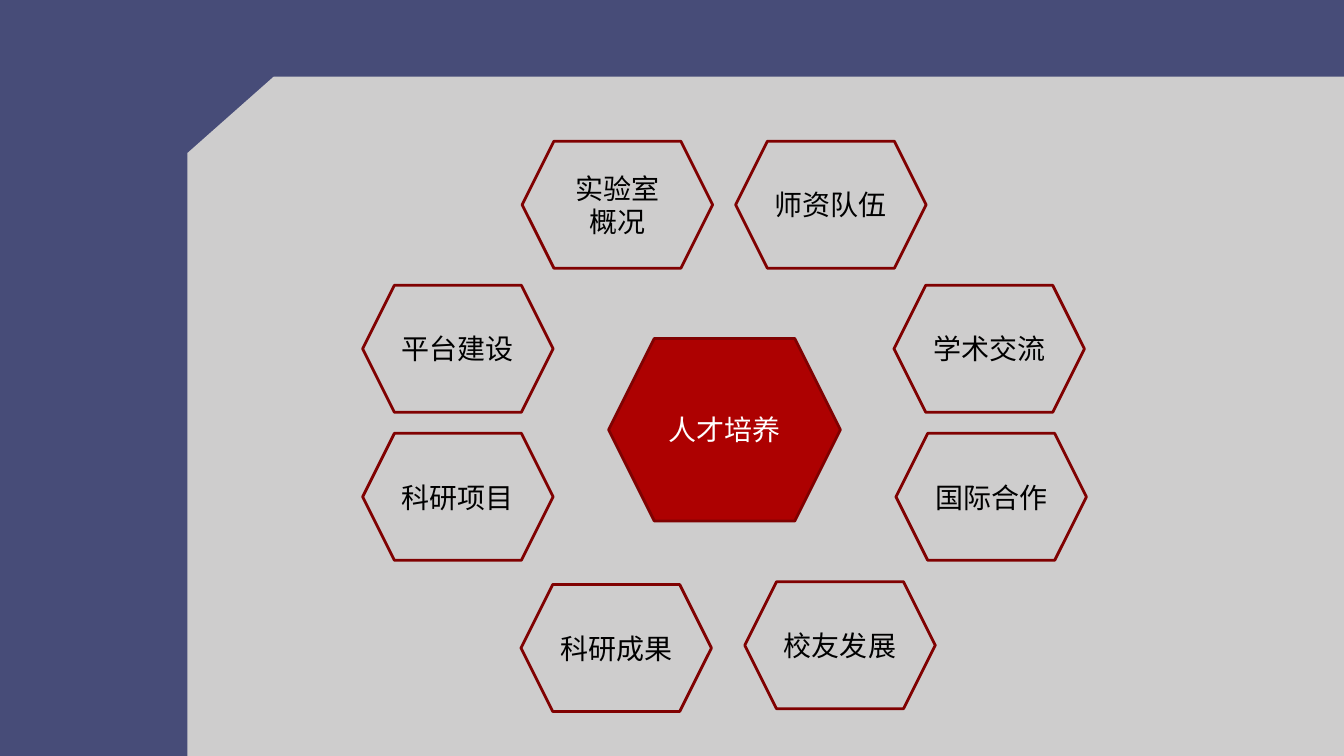
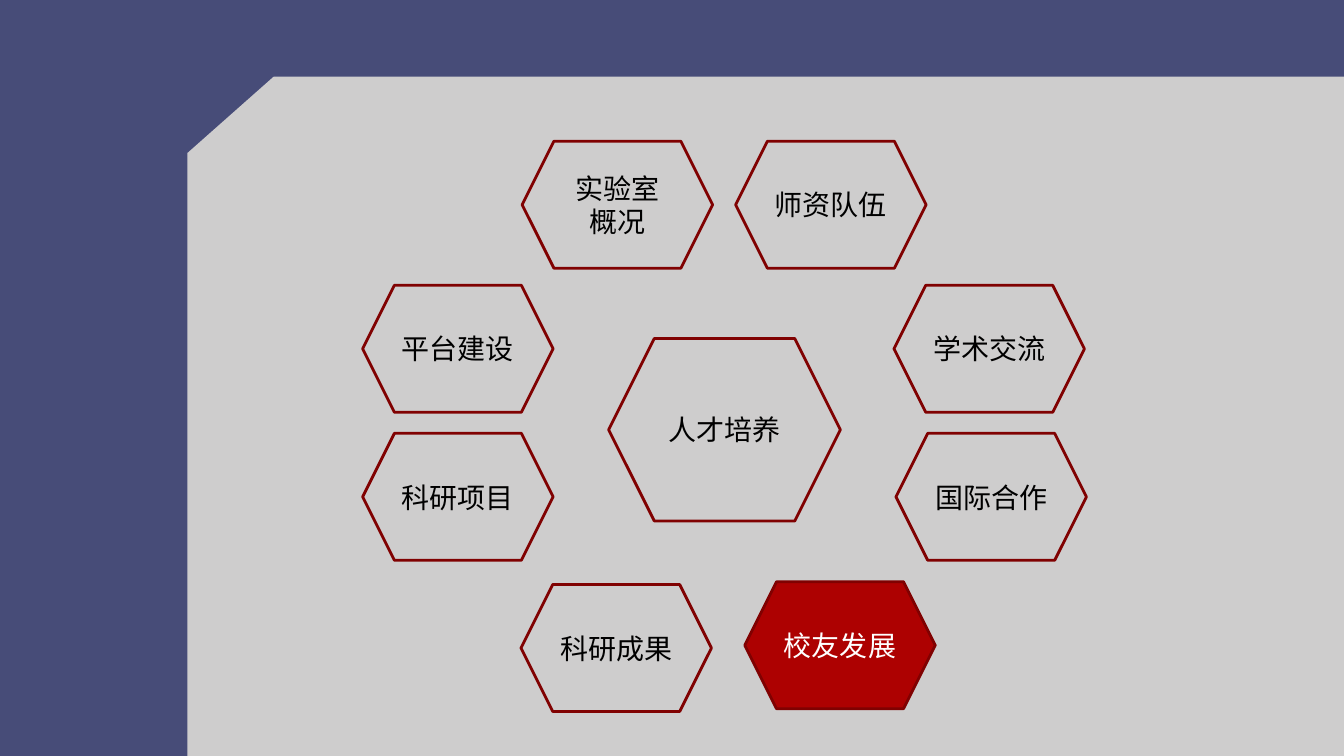
from pptx import Presentation
from pptx.dml.color import RGBColor
from pptx.enum.shapes import MSO_SHAPE
from pptx.enum.text import MSO_ANCHOR, PP_ALIGN
from pptx.util import Cm, Pt

SLIDE_WIDTH, SLIDE_HEIGHT = 33.87, 19.05
NAVY, GREY, RED, DARK_RED = "474C78", "CECDCD", "AD0101", "800101"
BLACK, WHITE = "000000", "FFFFFF"

PANEL_CORNERS = [
    (SLIDE_WIDTH, 1.93),
    (6.9, 1.93),
    (4.72, 3.86),
    (4.72, SLIDE_HEIGHT),
    (SLIDE_WIDTH, SLIDE_HEIGHT),
]

TOPIC_SIZE = (4.8, 3.2)
CENTRE_SIZE = (5.84, 4.6)
TOPICS = [
    ("实验室\n概况", 13.16, 3.56, TOPIC_SIZE),
    ("平台建设", 9.14, 7.19, TOPIC_SIZE),
    ("学术交流", 22.53, 7.19, TOPIC_SIZE),
    ("国际合作", 22.58, 10.92, TOPIC_SIZE),
    ("科研成果", 13.13, 14.73, TOPIC_SIZE),
    ("科研项目", 9.14, 10.92, TOPIC_SIZE),
    ("师资队伍", 18.54, 3.56, TOPIC_SIZE),
    ("校友发展", 18.77, 14.66, TOPIC_SIZE),
    ("人才培养", 15.34, 8.53, CENTRE_SIZE),
]
HIGHLIGHTS = ["人才培养", "校友发展"]

FRAME_FORMAT = {
    "word_wrap": True,
    "vertical_anchor": MSO_ANCHOR.MIDDLE,
    "margin_left": 0,
    "margin_right": 0,
    "margin_top": 0,
    "margin_bottom": 0,
}
FONT_FORMAT = {"name": "Calibri", "size": Pt(20)}


def color(value):
    return RGBColor.from_string(value)


def apply_format(target, values):
    for name, value in values.items():
        setattr(target, name, value)


def fill_solid(fill, value):
    fill.solid()
    fill.fore_color.rgb = color(value)


def add_panel(slide):
    start, *corners = [(Cm(x), Cm(y)) for x, y in PANEL_CORNERS]
    builder = slide.shapes.build_freeform(*start)
    builder.add_line_segments(corners, close=True)
    panel = builder.convert_to_shape()
    panel.shadow.inherit = False
    fill_solid(panel.fill, GREY)
    panel.line.fill.background()


def write_label(shape, text, text_color):
    frame = shape.text_frame
    frame.text = text
    apply_format(frame, FRAME_FORMAT)
    for paragraph in frame.paragraphs:
        paragraph.alignment = PP_ALIGN.CENTER
        apply_format(paragraph.font, FONT_FORMAT)
        paragraph.font.color.rgb = color(text_color)


def add_hexagon(slide, text, left, top, size, highlighted):
    box = [Cm(length) for length in (left, top, *size)]
    hexagon = slide.shapes.add_shape(MSO_SHAPE.HEXAGON, *box)
    hexagon.shadow.inherit = False
    hexagon.line.color.rgb = color(DARK_RED)
    hexagon.line.width = Pt(2)
    if highlighted:
        fill_solid(hexagon.fill, RED)
    else:
        hexagon.fill.background()
    write_label(hexagon, text, WHITE if highlighted else BLACK)


def add_topic_slide(presentation, highlight):
    slide = presentation.slides.add_slide(presentation.slide_layouts[6])
    add_panel(slide)
    for text, left, top, size in TOPICS:
        add_hexagon(slide, text, left, top, size, text == highlight)


def main():
    presentation = Presentation()
    presentation.slide_width = Cm(SLIDE_WIDTH)
    presentation.slide_height = Cm(SLIDE_HEIGHT)
    fill_solid(presentation.slide_master.background.fill, NAVY)
    for highlight in HIGHLIGHTS:
        add_topic_slide(presentation, highlight)
    presentation.save("out.pptx")


if __name__ == "__main__":
    main()
